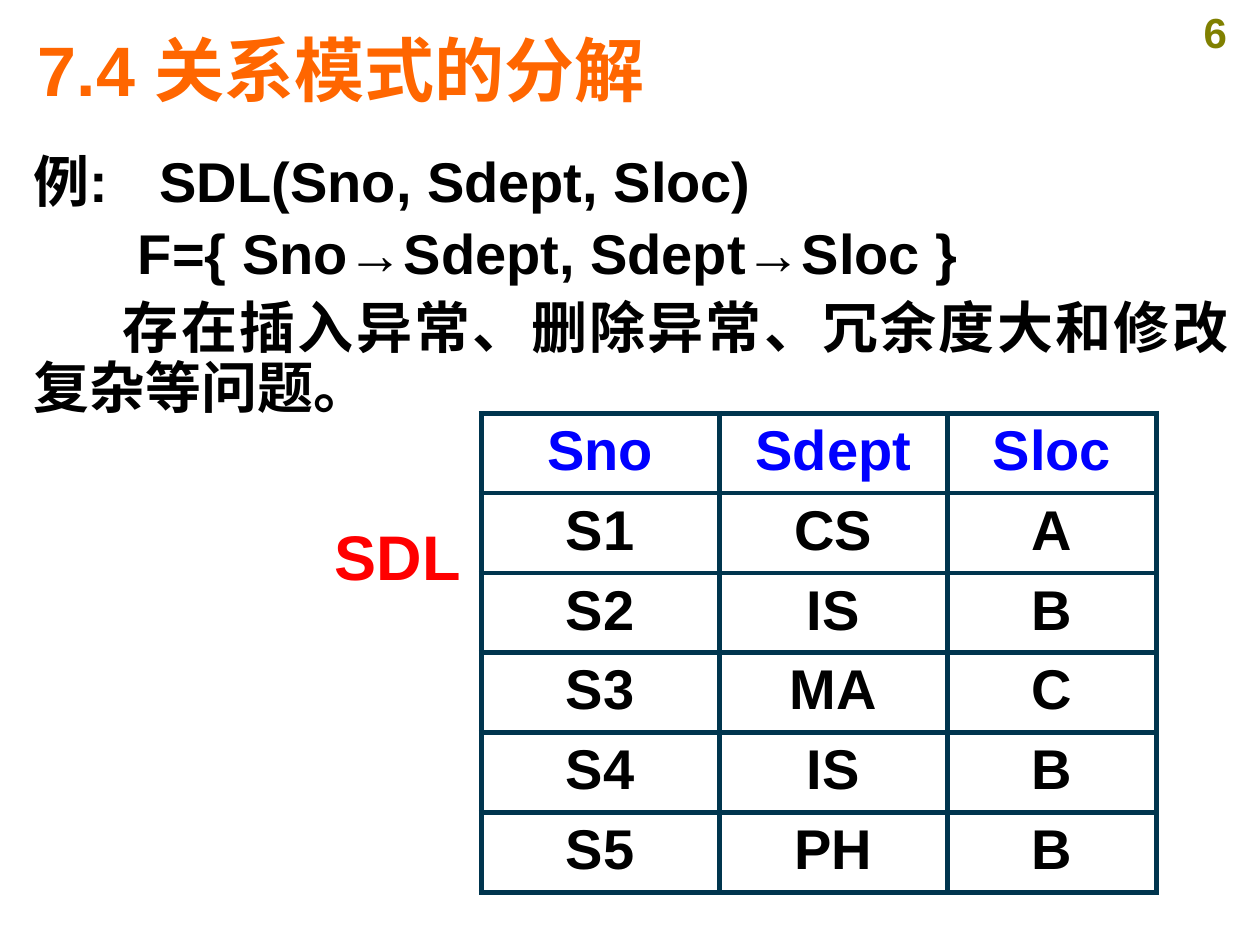
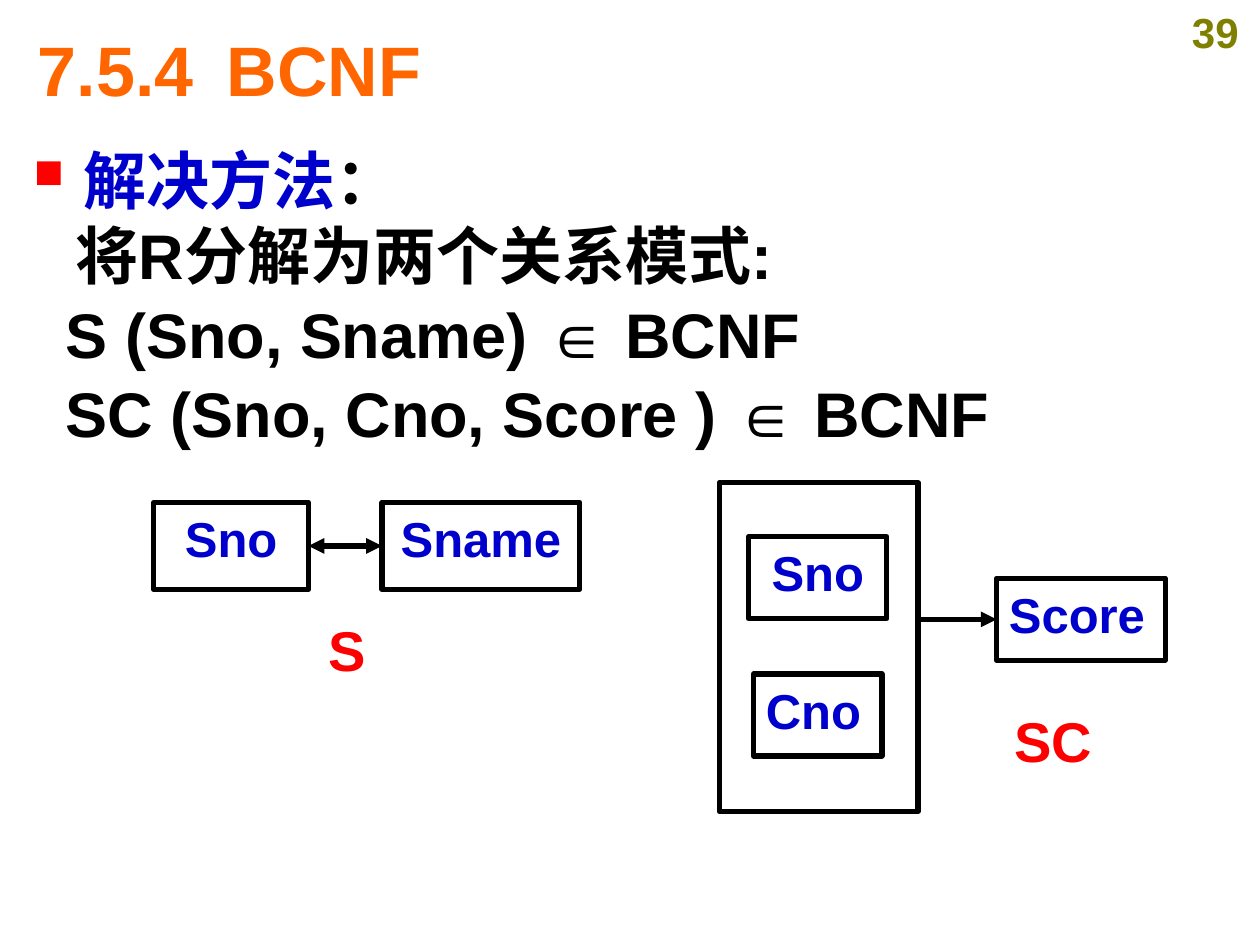
from dataclasses import dataclass

from lxml import etree
from pptx import Presentation
from pptx.dml.color import RGBColor
from pptx.enum.shapes import MSO_CONNECTOR, MSO_SHAPE
from pptx.enum.text import MSO_ANCHOR, MSO_AUTO_SIZE, PP_ALIGN
from pptx.oxml.ns import qn
from pptx.util import Cm, Pt

LEFT, CENTER, JUSTIFY = PP_ALIGN.LEFT, PP_ALIGN.CENTER, PP_ALIGN.JUSTIFY
TOP, MIDDLE = MSO_ANCHOR.TOP, MSO_ANCHOR.MIDDLE
FIXED = MSO_AUTO_SIZE.NONE
RECTANGLE = MSO_SHAPE.RECTANGLE
STRAIGHT = MSO_CONNECTOR.STRAIGHT

ORANGE = RGBColor(0xFF, 0x66, 0x00)
OLIVE = RGBColor(0x80, 0x80, 0x00)
BLACK = RGBColor(0x00, 0x00, 0x00)
RED = RGBColor(0xFF, 0x00, 0x00)
BLUE = RGBColor(0x00, 0x00, 0xFF)
NAVY = RGBColor(0x00, 0x00, 0xCC)
TEAL = RGBColor(0x00, 0x35, 0x4E)

FONT = "Arial"
LINE_WIDTH = Pt(3)
SIDE_LEFT, SIDE_RIGHT = 1, 3


@dataclass(frozen=True)
class Area:
    """A rectangle on the page, in centimetres."""
    left: float
    top: float
    width: float
    height: float

    def lengths(self) -> tuple:
        """Return the four values as lengths."""
        return Cm(self.left), Cm(self.top), Cm(self.width), Cm(self.height)


@dataclass(frozen=True)
class Attribute:
    """A framed attribute of a relation."""
    name: str
    area: Area
    align: PP_ALIGN = CENTER


@dataclass(frozen=True)
class Label:
    """A red name beside a table or a diagram."""
    text: str
    area: Area
    size: int = 32
    align: PP_ALIGN = CENTER


TITLE_AREA = Area(0.51, 0.41, 24.05, 1.93)
NUMBER_AREA = Area(23.6, 0, 1.8, 1.27)

SDL_LABEL = Label("SDL", Area(6.5, 10.31, 3.05, 1.78), 36, LEFT)
SDL_ROWS = [
    ("Sno", "Sdept", "Sloc"),
    ("S1", "CS", "A"),
    ("S2", "IS", "B"),
    ("S3", "MA", "C"),
    ("S4", "IS", "B"),
    ("S5", "PH", "B"),
]
SDL_WIDTHS = (4.8, 4.6, 4.22)
SDL_ROW_HEIGHT = 1.61

S_KEY = Attribute("Sno", Area(3.1, 10.13, 3.12, 1.75))
S_NAME = Attribute("Sname", Area(7.7, 10.13, 3.99, 1.75))
SC_KEY = Attribute("", Area(14.5, 9.73, 4.01, 6.63))
SC_KEY_PARTS = [
    Attribute("Sno", Area(15.09, 10.82, 2.79, 1.65)),
    Attribute("Cno", Area(15.19, 13.59, 2.59, 1.65), LEFT),
]
SC_SCORE = Attribute("Score", Area(20.09, 11.66, 3.4, 1.65), LEFT)
RELATION_LABELS = [
    Label("S", Area(5.69, 12.29, 2.64, 1.93)),
    Label("SC", Area(19.91, 14.12, 2.64, 1.93)),
]


def add_child(parent, tag: str, **attributes: str):
    """Append a drawing element to its parent."""
    return etree.SubElement(parent, qn(f"a:{tag}"), **attributes)


def add_span(para, text: str, *, size: int, color: RGBColor) -> None:
    """Add a bold run to a paragraph."""
    span = para.add_run()
    span.text = text
    span.font.name = FONT
    span.font.size = Pt(size)
    span.font.bold = True
    span.font.color.rgb = color


def write(frame, text: str, *, size: int = 32, color: RGBColor = BLACK, align=LEFT,
          before: float = 0, spacing: float = 1.0, margin: float = 0, indent: float = 0,
          tab: float = 0, bullet: str = ""):
    """Fill the first empty paragraph, or a new one, with formatted text."""
    para = frame.paragraphs[0] if not frame.text else frame.add_paragraph()
    properties = para._p.get_or_add_pPr()
    properties.set("marL", str(Cm(margin)))
    properties.set("indent", str(Cm(indent)))
    if bullet:
        add_child(add_child(properties, "buClr"), "srgbClr", val=str(RED))
        add_child(properties, "buSzPct", val="65000")
        add_child(properties, "buChar", char=bullet)
    if tab:
        add_child(add_child(properties, "tabLst"), "tab", pos=str(Cm(tab)), algn="l")
    para.alignment = align
    para.line_spacing = spacing
    para.space_before = Pt(before)
    add_span(para, text, size=size, color=color)
    return para


def add_text_box(page, area: Area, wrap: bool = True):
    """Add a text box and return its frame."""
    frame = page.shapes.add_textbox(*area.lengths()).text_frame
    frame.word_wrap = wrap
    return frame


def add_page(deck, title: str, number: int, tab: float = 0):
    """Add a page with its title and number."""
    page = deck.slides.add_slide(deck.slide_layouts[5])
    heading = page.shapes.title
    heading.left, heading.top, heading.width, heading.height = TITLE_AREA.lengths()
    frame = heading.text_frame
    frame.auto_size = FIXED
    frame.vertical_anchor = MIDDLE
    write(frame, title, size=40, color=ORANGE, tab=tab)
    write(add_text_box(page, NUMBER_AREA), str(number), size=24, color=OLIVE, align=CENTER)
    return page


def add_label(page, label: Label) -> None:
    """Add the red name of a relation."""
    frame = add_text_box(page, label.area, wrap=label.align == CENTER)
    write(frame, label.text, size=label.size, color=RED, align=label.align)


def add_attribute(page, attribute: Attribute):
    """Draw a framed attribute."""
    box = page.shapes.add_shape(RECTANGLE, *attribute.area.lengths())
    box.shadow.inherit = False
    box.fill.background()
    box.line.color.rgb = BLACK
    box.line.width = LINE_WIDTH
    box.text_frame.vertical_anchor = TOP
    if attribute.name:
        write(box.text_frame, attribute.name, size=28, color=NAVY, align=attribute.align)
    return box


def add_arrow(page, source, target, both_ends: bool = False):
    """Draw a level arrow from the right of one box to the left of another."""
    level = target.top + target.height // 2
    arrow = page.shapes.add_connector(
        STRAIGHT, source.left + source.width, level, target.left, level)
    arrow.line.color.rgb = BLACK
    arrow.line.width = LINE_WIDTH
    line = arrow.line._get_or_add_ln()
    if both_ends:
        add_child(line, "headEnd", type="triangle")
    add_child(line, "tailEnd", type="triangle")
    add_child(arrow._element.spPr, "effectLst")
    arrow.end_connect(target, SIDE_LEFT)
    return arrow


def set_borders(cell) -> None:
    """Give a cell a line on each side."""
    properties = cell._tc.get_or_add_tcPr()
    for position, side in enumerate(("lnL", "lnR", "lnT", "lnB")):
        line = etree.Element(qn(f"a:{side}"), w=str(LINE_WIDTH))
        add_child(add_child(line, "solidFill"), "srgbClr", val=str(TEAL))
        properties.insert(position, line)


def add_sdl_table(page) -> None:
    """Add the table of the SDL relation."""
    area = Area(9.7, 8.33, sum(SDL_WIDTHS), SDL_ROW_HEIGHT * len(SDL_ROWS))
    table = page.shapes.add_table(len(SDL_ROWS), len(SDL_WIDTHS), *area.lengths()).table
    table.first_row = False
    table.horz_banding = False
    for column, width in zip(table.columns, SDL_WIDTHS):
        column.width = Cm(width)
    for row_index, values in enumerate(SDL_ROWS):
        table.rows[row_index].height = Cm(SDL_ROW_HEIGHT)
        for column_index, value in enumerate(values):
            cell = table.cell(row_index, column_index)
            cell.fill.background()
            set_borders(cell)
            write(cell.text_frame, value, color=BLACK if row_index else BLUE, align=CENTER)


def build_decomposition(deck) -> None:
    """Build the page on decomposing a relation schema."""
    page = add_page(deck, "7.4 关系模式的分解", 6)
    frame = add_text_box(page, Area(0.43, 2.82, 24.59, 15.21))
    write(frame, "例:\tSDL(Sno, Sdept, Sloc)", align=JUSTIFY, tab=2.34)
    write(frame, "F={ Sno→Sdept, Sdept→Sloc }", align=JUSTIFY, before=3, margin=2.1)
    write(frame, "存在插入异常、删除异常、冗余度大和修改复杂等问题。",
          align=JUSTIFY, before=8, spacing=0.9, indent=1.8)
    add_label(page, SDL_LABEL)
    add_sdl_table(page)


def build_bcnf(deck) -> None:
    """Build the page on reaching BCNF."""
    page = add_page(deck, "7.5.4\tBCNF", 39, tab=3.81)
    frame = add_text_box(page, Area(0.43, 2.72, 24.59, 15.21))
    method = write(frame, "解决方法", size=36, color=NAVY, margin=1, indent=-1, bullet="■")
    add_span(method, "：", size=36, color=BLACK)
    write(frame, "将R分解为两个关系模式:", size=36, margin=0.85)
    for relation in ("S (Sno, Sname)", "SC (Sno, Cno, Score )"):
        write(frame, f"{relation} ∈ BCNF", size=36, before=2, margin=0.65)

    for label in RELATION_LABELS:
        add_label(page, label)
    key, name = add_attribute(page, S_KEY), add_attribute(page, S_NAME)
    add_arrow(page, key, name, both_ends=True).begin_connect(key, SIDE_RIGHT)
    whole_key = add_attribute(page, SC_KEY)
    for part in SC_KEY_PARTS:
        add_attribute(page, part)
    add_arrow(page, whole_key, add_attribute(page, SC_SCORE))


def main() -> None:
    """Build and save the deck."""
    deck = Presentation()
    deck.slide_width, deck.slide_height = Cm(25.4), Cm(19.05)
    build_decomposition(deck)
    build_bcnf(deck)
    deck.save("out.pptx")


if __name__ == "__main__":
    main()
